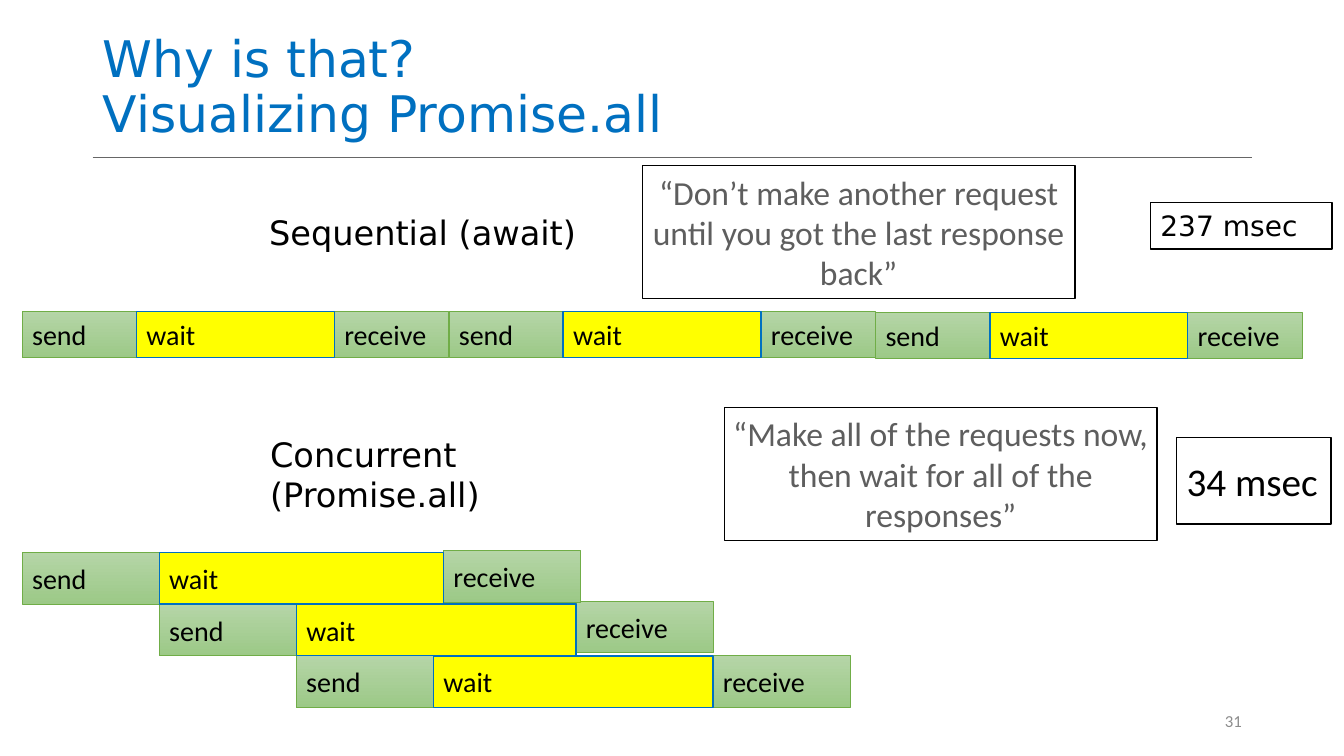
import lxml.etree
import pptx
import pptx.dml.color
import pptx.enum.shapes
import pptx.enum.text
import pptx.oxml.ns
import pptx.util

ANCHOR = pptx.enum.text.MSO_ANCHOR
ALIGN = pptx.enum.text.PP_ALIGN
HEADING_FONT, BODY_FONT = "DejaVu Sans", "Calibri"
BLACK, WHITE, BLUE, YELLOW = "000000", "FFFFFF", "0070C0", "FFFF00"
GREEN_TOP, GREEN_BOTTOM, GREEN_EDGE = "B5D5A7", "9CC987", "70AD47"
QUOTE_GRAY, NUMBER_GRAY, RULE_GRAY = "5E5E5E", "8C8C8C", "666666"


def color(hex_string):
    return pptx.dml.color.RGBColor.from_string(hex_string)


class SlideBuilder:
    """Draws on one slide; all lengths are percentages of its width and height."""

    def __init__(self, presentation):
        self.width = presentation.slide_width
        self.height = presentation.slide_height
        self.slide = presentation.slides.add_slide(presentation.slide_layouts[5])

    def x(self, share):
        return round(self.width * share / 100)

    def y(self, share):
        return round(self.height * share / 100)

    def area(self, left, top, width, height):
        return self.x(left), self.y(top), self.x(width), self.y(height)

    def set_text(self, shape, text, size, font, text_color, align=ALIGN.LEFT,
                 anchor=ANCHOR.MIDDLE, wrap=True):
        frame = shape.text_frame
        frame.text = text
        frame.word_wrap = wrap
        frame.vertical_anchor = anchor
        for paragraph in frame.paragraphs:
            paragraph.alignment = align
            for run in paragraph.runs:
                run.font.size = pptx.util.Pt(size)
                run.font.name = font
                run.font.color.rgb = color(text_color)

    def title(self, text, *area):
        shape = self.slide.shapes.title
        shape.left, shape.top, shape.width, shape.height = self.area(*area)
        self.set_text(shape, text, 36, HEADING_FONT, BLUE, anchor=ANCHOR.BOTTOM)
        shape.text_frame.auto_size = pptx.enum.text.MSO_AUTO_SIZE.NONE
        shape.text_frame.paragraphs[0].line_spacing = 0.9

    def rule(self, left, right, top):
        connector = self.slide.shapes.add_connector(
            pptx.enum.shapes.MSO_CONNECTOR.STRAIGHT,
            self.x(left), self.y(top), self.x(right), self.y(top))
        connector.line.color.rgb = color(RULE_GRAY)
        connector.line.width = pptx.util.Pt(0.5)
        properties = connector.element.spPr
        lxml.etree.SubElement(properties, pptx.oxml.ns.qn("a:effectLst"))

    def label(self, text, area, size, font, text_color, **layout):
        shape = self.slide.shapes.add_textbox(*self.area(*area))
        self.set_text(shape, text, size, font, text_color, **layout)

    def box(self, text, area, size=20, font=BODY_FONT, text_color=BLACK,
            fill=WHITE, edge=BLACK, edge_width=1, **layout):
        shape = self.slide.shapes.add_shape(
            pptx.enum.shapes.MSO_SHAPE.RECTANGLE, *self.area(*area))
        shape.shadow.inherit = False
        shape.fill.solid()
        shape.fill.fore_color.rgb = color(fill)
        shape.line.color.rgb = color(edge)
        shape.line.width = pptx.util.Pt(edge_width)
        self.set_text(shape, text, size, font, text_color, **layout)
        return shape

    def quote(self, text, left, top):
        shape = self.box(text, (left, top, 32.18, 17.6), 24,
                         text_color=QUOTE_GRAY, align=ALIGN.CENTER)
        frame = shape.text_frame
        frame.margin_left = frame.margin_right = pptx.util.Inches(0.06)
        frame.margin_top = frame.margin_bottom = pptx.util.Inches(0.06)

    def transfer(self, text, area):
        """Green step in which data is sent or received."""
        shape = self.box(text, area, edge=GREEN_EDGE, edge_width=0.5)
        shape.fill.gradient()
        shape.fill.gradient_angle = 270
        for stop, shade in zip(shape.fill.gradient_stops, (GREEN_TOP, GREEN_BOTTOM)):
            stop.color.rgb = color(shade)

    def request(self, left, top, height, transfer_width, wait_width, receive_lift=0):
        """One send, wait and receive chain, starting at left."""
        wait_left = left + transfer_width
        receive_left = wait_left + wait_width
        self.transfer("send", (left, top, transfer_width, height))
        self.transfer("receive", (receive_left, top - receive_lift, transfer_width, height))
        self.box("wait", (wait_left, top, wait_width, height), fill=YELLOW, edge=BLUE)


def main():
    presentation = pptx.Presentation()
    presentation.slide_width = pptx.util.Inches(13.33)
    presentation.slide_height = pptx.util.Inches(7.5)
    builder = SlideBuilder(presentation)

    builder.rule(6.9, 93.15, 20.8)
    builder.title("Why is that? \vVisualizing Promise.all", 6.9, 0.27, 86.25, 19.33)
    builder.label("31", (70.65, 92.67, 22.5, 5.33), 12, BODY_FONT, NUMBER_GRAY,
                  align=ALIGN.RIGHT)

    first_left = 1.65
    step, row_height = 10.2, 6.84
    concurrent_rows = [(21.15, 0.27), (20.8, 0.4), (20.8, 0)]
    for index, (wait_width, receive_lift) in reversed(list(enumerate(concurrent_rows))):
        builder.request(first_left + index * step, 73.07 + index * row_height,
                        row_height, step, wait_width, receive_lift)

    for index, top in enumerate((41.2, 41.2, 41.33)):
        builder.request(first_left + index * 31.75, top, 6.13, 8.5, 14.73)

    for text, left, top, width in (("Sequential (await)", 19.28, 24, 24.75),
                                   ("Concurrent (Promise.all)", 19.35, 56, 31.05)):
        builder.label(text, (left, top, width, 13.33), 24, HEADING_FONT, BLACK, wrap=False)

    builder.quote("“Don’t make another request until you got the last response back”",
                  47.8, 21.87)
    builder.quote("“Make all of the requests now, then wait for all of the responses”",
                  53.9, 53.87)
    builder.box("237 msec", (85.6, 26.8, 13.5, 6.13), font=HEADING_FONT)
    builder.box("34 msec", (87.55, 57.87, 11.5, 11.47), size=28)

    presentation.save("out.pptx")


if __name__ == "__main__":
    main()
